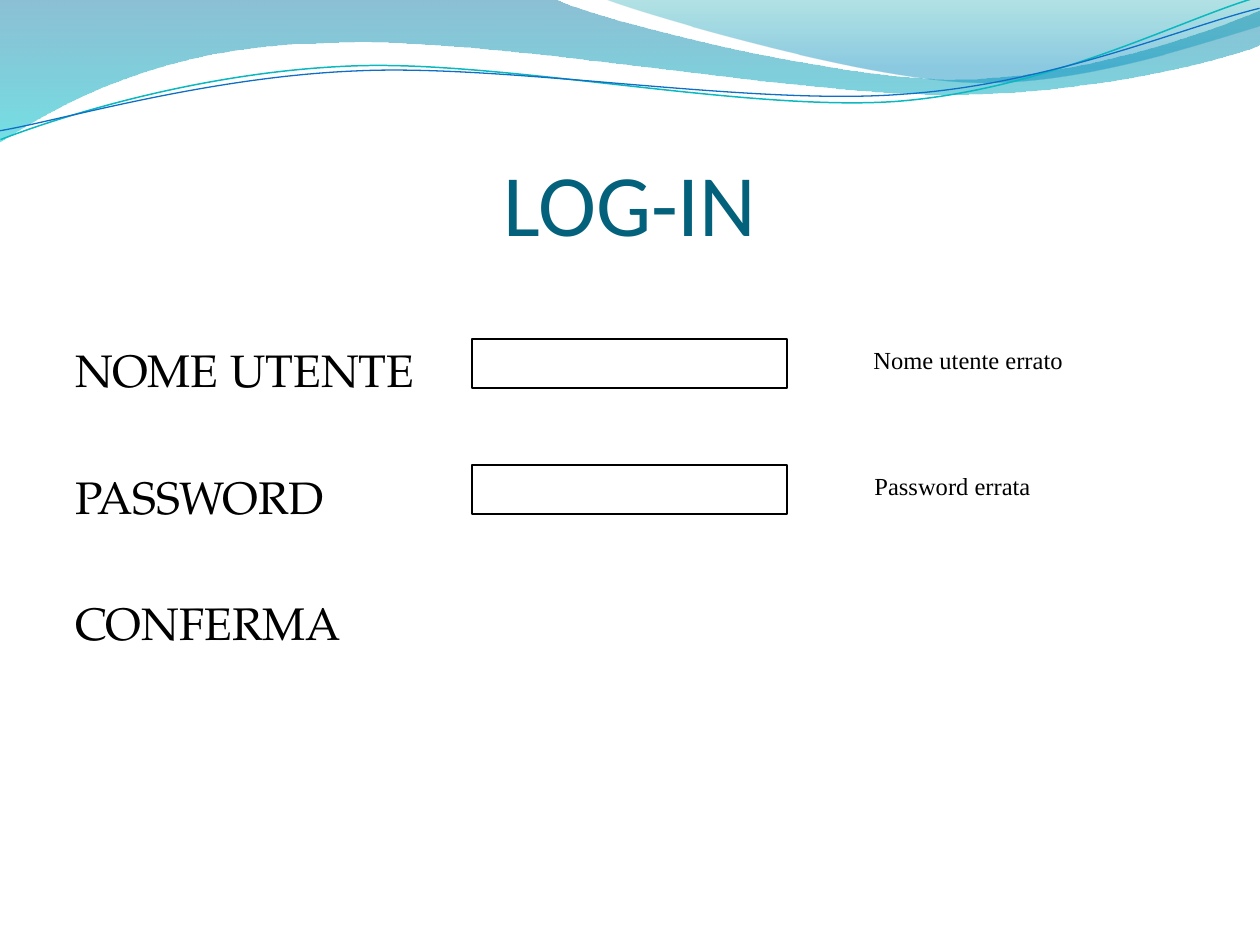
from lxml import etree
from pptx import Presentation
from pptx.dml.color import RGBColor
from pptx.enum.shapes import MSO_SHAPE
from pptx.enum.text import MSO_ANCHOR, PP_ALIGN
from pptx.oxml.ns import qn
from pptx.util import Pt

PX = 914400 / 126
RECTANGLE = MSO_SHAPE.RECTANGLE
TOP, BOTTOM = MSO_ANCHOR.TOP, MSO_ANCHOR.BOTTOM
LEFT, CENTER = PP_ALIGN.LEFT, PP_ALIGN.CENTER
BLACK = RGBColor(0x00, 0x00, 0x00)
TITLE_BLUE = RGBColor(0x04, 0x61, 0x7B)
DEEP_BLUE = RGBColor(0x00, 0x74, 0xA1)
AQUA = RGBColor(0x00, 0xC6, 0xCF)
TEAL = RGBColor(0x00, 0xA1, 0xA9)
SKY_BLUE = RGBColor(0x00, 0x8B, 0xBF)
LINE_TEAL = RGBColor(0x0A, 0xB8, 0xBF)
LINE_BLUE = RGBColor(0x0F, 0x6F, 0xC6)

deck = Presentation()
deck.slide_width, deck.slide_height = round(1260 * PX), round(945 * PX)
page = deck.slides.add_slide(deck.slide_layouts[6])


def add_curve(start, segments, close):
    builder = page.shapes.build_freeform(*start, scale=PX)
    builder.add_line_segments([segment[-2:] for segment in segments], close=close)
    curve = builder.convert_to_shape()
    curve.shadow.inherit = False
    ends = [start] + [segment[-2:] for segment in segments]
    left, top = min(x for x, y in ends), min(y for x, y in ends)
    sides = list(curve._element.spPr.iter(qn("a:lnTo")))
    for side, segment in zip(sides, segments):
        if len(segment) == 6:
            bend = etree.Element(qn("a:cubicBezTo"))
            for x, y in zip(segment[::2], segment[1::2]):
                etree.SubElement(bend, qn("a:pt"), x=str(x - left), y=str(y - top))
            side.getparent().replace(side, bend)
    return curve


def add_text(lines, left, top, width, height, font, size, color, align, anchor, wrap):
    box = page.shapes.add_textbox(*(round(v * PX) for v in (left, top, width, height)))
    frame = box.text_frame
    frame.text = "\n".join(lines)
    frame.word_wrap = wrap
    frame.vertical_anchor = anchor
    for para in frame.paragraphs:
        para.alignment = align
        span = para.runs[0]
        span.font.name = font
        span.font.size = Pt(size)
        span.font.color.rgb = color
    return frame


waves = [
    ((0, -1), [(554, -1), (600, 21, 837, 79, 955, 79), (1075, 79, 1207, 33, 1260, 11),
               (1261, 45), (1239, 55, 1096, 96, 940, 94), (784, 94, 481, 35, 324, 43),
               (163, 45, 58, 105, -1, 142)],
     [(0, DEEP_BLUE, 45), (1, AQUA, 55)]),
    ((604, -1), [(641, 14, 859, 78, 969, 82), (1079, 87, 1211, 40, 1260, 26), (1260, 0)],
     [(0, TEAL, 30), (0.8, SKY_BLUE, 45)]),
]
for start, segments, stops in waves:
    wave = add_curve(start, segments, True)
    wave.line.fill.background()
    wave.fill.gradient()
    wave.fill.gradient_angle = 270
    for stop, (position, color, opacity) in zip(wave.fill.gradient_stops, stops):
        stop.position = position
        stop.color.rgb = color
    colors = list(wave._element.spPr.iter(qn("a:srgbClr")))
    for element, (position, color, opacity) in zip(colors, stops):
        etree.SubElement(element, qn("a:alpha"), val=str(opacity * 1000))

strands = [
    ((-2, 110), [(58, 90, 200, 52, 350, 53), (499, 53, 745, 118, 896, 114),
                 (1049, 109, 1184, 45, 1260, 27)], LINE_TEAL, 0.85),
    ((-2, 101), [(57, 94, 207, 57, 357, 58), (509, 58, 750, 112, 902, 107),
                 (1052, 104, 1188, 52, 1262, 38)], LINE_BLUE, 0.75),
]
for start, segments, color, weight in strands:
    strand = add_curve(start, segments, False)
    strand.rotation = 357.3
    strand.fill.background()
    strand.line.color.rgb = color
    strand.line.width = Pt(weight)

title = add_text(["LOG-IN"], 63, 96, 1134, 158, "Calibri", 50, TITLE_BLUE,
                 CENTER, BOTTOM, True)
title.margin_left = title.margin_right = title.margin_bottom = 0

labels = add_text(["NOME UTENTE", "PASSWORD", "CONFERMA"], 63, 267, 1134, 605,
                  "TeX Gyre Pagella", 26, BLACK, LEFT, TOP, True)
labels.margin_top = round(75 * PX)
for index, para in enumerate(labels.paragraphs):
    para.line_spacing = Pt(31)
    if index:
        para.space_before = Pt(41.5)

messages = [("Nome utente errato", 861, 217), ("Password errata", 862, 183)]
for row, (message, left, width) in enumerate(messages):
    top = 339 + 126 * row
    field = page.shapes.add_shape(
        RECTANGLE, *(round(v * PX) for v in (472, top, 315, 49)))
    field.shadow.inherit = False
    field.fill.background()
    field.line.color.rgb = BLACK
    field.line.width = Pt(1)
    add_text([message], left, top, width, 43, "Times New Roman", 14, BLACK,
             LEFT, TOP, False)

deck.save("out.pptx")
